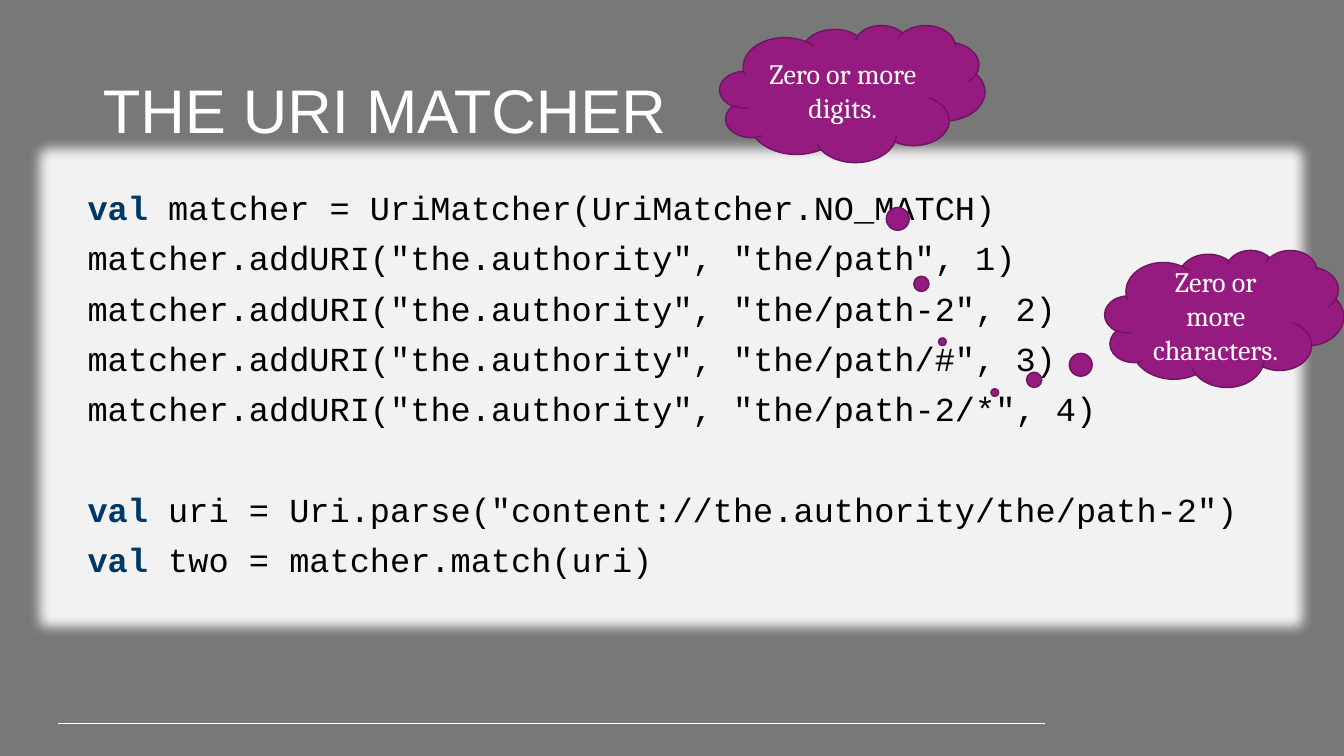
"""Build the URI matcher slide on a grid of 100 columns by 100 rows."""
import pptx
import pptx.dml.color
import pptx.enum.shapes
import pptx.enum.text
import pptx.oxml
import pptx.oxml.ns
import pptx.util

SHAPE = pptx.enum.shapes.MSO_SHAPE
ALIGN = pptx.enum.text.PP_ALIGN
ANCHOR = pptx.enum.text.MSO_ANCHOR


def rgb(color):
    return pptx.dml.color.RGBColor.from_string(color)


def add_text(p, text, size=24, font="Courier New", color="000000", bold=False):
    r = p.add_run()
    r.text = text
    r.font.size = pptx.util.Pt(size)
    r.font.name = font
    r.font.bold = bold
    r.font.color.rgb = rgb(color)


class Deck:
    white, panel, keyword = "FFFFFF", "F2F2F2", "003865"
    purple, outline = "961B81", "6F145F"

    def __init__(self, background):
        self.prs = pptx.Presentation()
        self.prs.slide_width = pptx.util.Inches(13.33)
        self.prs.slide_height = pptx.util.Inches(7.5)
        self.s = self.prs.slides.add_slide(self.prs.slide_layouts[5])
        fill = self.s.background.fill
        fill.solid()
        fill.fore_color.rgb = rgb(background)

    def grid(self, x, y, w, h):
        col, row = self.prs.slide_width / 100, self.prs.slide_height / 100
        return [round(n) for n in (x * col, y * row, w * col, h * row)]

    def effects(self, sp, xml=""):
        uri = pptx.oxml.ns.nsdecls("a")
        sp._element.spPr.append(
            pptx.oxml.parse_xml(f"<a:effectLst {uri}>{xml}</a:effectLst>"))

    def rule(self, x, y, w):
        left, top, width, _ = self.grid(x, y, w, 0)
        sp = self.s.shapes.add_connector(
            pptx.enum.shapes.MSO_CONNECTOR.STRAIGHT, left, top, left + width, top)
        sp.line.color.rgb = rgb(self.white)
        sp.line.width = pptx.util.Pt(0.75)
        self.effects(sp)

    def title(self, text, *cell):
        sp = self.s.shapes.title
        sp.left, sp.top, sp.width, sp.height = self.grid(*cell)
        tf = sp.text_frame
        tf.auto_size = pptx.enum.text.MSO_AUTO_SIZE.NONE
        tf.vertical_anchor = ANCHOR.MIDDLE
        p = tf.paragraphs[0]
        p.alignment = ALIGN.LEFT
        p.line_spacing = 0.9
        add_text(p, text, size=44, font="Arial", color=self.white)

    def shape(self, kind, color, anchor, cell):
        sp = self.s.shapes.add_shape(kind, *self.grid(*cell))
        sp.fill.solid()
        sp.fill.fore_color.rgb = rgb(color)
        sp.text_frame.word_wrap = True
        sp.text_frame.vertical_anchor = anchor
        return sp

    def code(self, blocks, *cell):
        sp = self.shape(SHAPE.RECTANGLE, self.panel, ANCHOR.TOP, cell)
        sp.line.fill.background()
        self.effects(sp, f'<a:glow rad="{pptx.util.Pt(18)}">'
                         f'<a:srgbClr val="{self.panel}"/></a:glow>')
        tf = sp.text_frame
        for b, block in enumerate(blocks):
            for i, line in enumerate(block.splitlines()):
                first = b == i == 0
                p = tf.paragraphs[0] if first else tf.add_paragraph()
                p.alignment = ALIGN.LEFT
                p.line_spacing = 0.9
                gap = 46 if b and i == 0 else 10
                p.space_before = pptx.util.Pt(0 if first else gap)
                if line.startswith("val "):
                    add_text(p, "val ", color=self.keyword, bold=True)
                    line = line[4:]
                add_text(p, line)

    def cloud(self, text, tail, *cell):
        sp = self.shape(SHAPE.CLOUD_CALLOUT, self.purple, ANCHOR.MIDDLE, cell)
        sp.adjustments[0], sp.adjustments[1] = tail
        sp.line.color.rgb = rgb(self.outline)
        sp.line.width = pptx.util.Pt(1)
        sp.shadow.inherit = False
        p = sp.text_frame.paragraphs[0]
        p.alignment = ALIGN.CENTER
        add_text(p, text, size=20, font="Cambria", color=self.white)


CODE = [
    '''val matcher = UriMatcher(UriMatcher.NO_MATCH)
matcher.addURI("the.authority", "the/path", 1)
matcher.addURI("the.authority", "the/path-2", 2)
matcher.addURI("the.authority", "the/path/#", 3)
matcher.addURI("the.authority", "the/path-2/*", 4)''',
    '''val uri = Uri.parse("content://the.authority/the/path-2")
val two = matcher.match(uri)''',
]


def main():
    deck = Deck("787878")
    deck.rule(4.28, 95.73, 73.44)
    deck.title("THE URI MATCHER", 6.9, 5.33, 86.25, 19.33)
    deck.code(CODE, 5.78, 24.67, 88.35, 53.2)
    deck.cloud("Zero or more digits.", (0.34, 1.81), 53.55, 3.33, 19.73, 18.13)
    deck.cloud("Zero or more characters.", (-0.96, 0.54), 82.2, 33.07, 17.78, 18.13)
    deck.prs.save("out.pptx")


if __name__ == "__main__":
    main()
